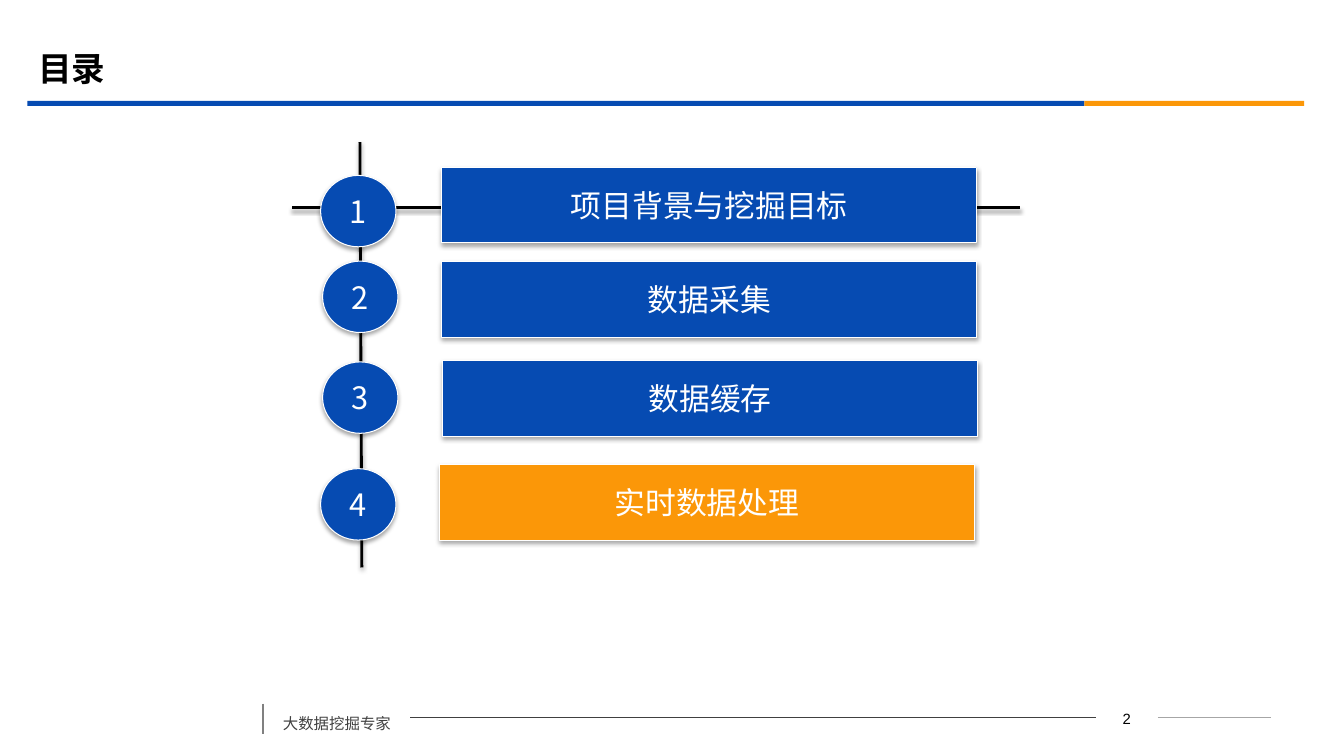
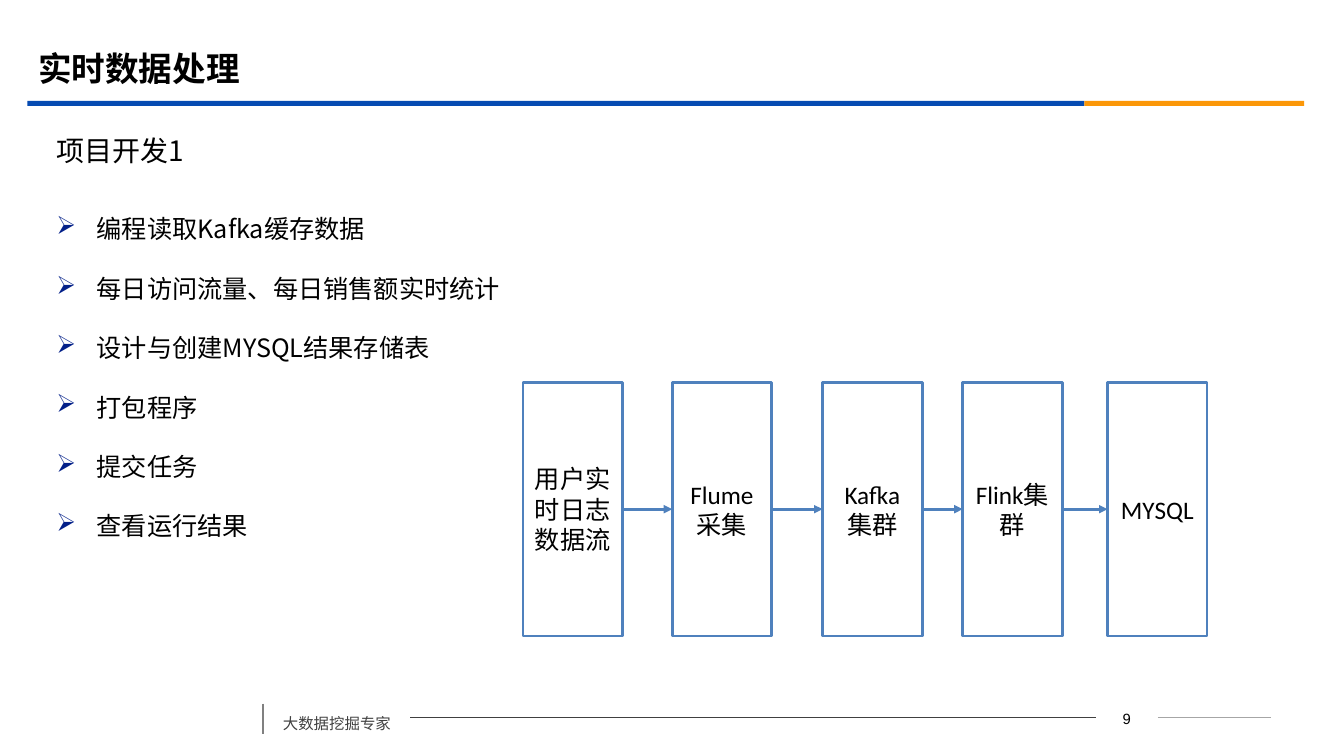
from dataclasses import dataclass
from itertools import pairwise

from lxml import etree
from pptx import Presentation
from pptx.dml.color import RGBColor
from pptx.enum.shapes import MSO_CONNECTOR, MSO_SHAPE
from pptx.enum.text import MSO_ANCHOR, PP_ALIGN
from pptx.oxml.ns import qn
from pptx.util import Cm, Pt

RECT, OVAL, BUTTON = MSO_SHAPE.RECTANGLE, MSO_SHAPE.OVAL, MSO_SHAPE.ACTION_BUTTON_CUSTOM
STRAIGHT = MSO_CONNECTOR.STRAIGHT
TOP, MIDDLE = MSO_ANCHOR.TOP, MSO_ANCHOR.MIDDLE
LEFT, CENTER = PP_ALIGN.LEFT, PP_ALIGN.CENTER

BLUE, ORANGE, WHITE, BLACK = "064BB2", "FB9708", "FFFFFF", "000000"
FLOW_BLUE, BULLET_BLUE = "4F81BD", "032089"
DARK_GREY, MID_GREY, LIGHT_GREY = "404040", "808080", "A6A6A6"
CJK = "Noto Sans CJK SC"


@dataclass(frozen=True)
class Box:
    """Position and size in centimetres."""
    left: float
    top: float
    width: float
    height: float

    def emu(self) -> tuple:
        return Cm(self.left), Cm(self.top), Cm(self.width), Cm(self.height)


@dataclass(frozen=True)
class TextStyle:
    size: float
    color: str = BLACK
    font: str = CJK
    bold: bool = False
    align: PP_ALIGN = LEFT
    anchor: MSO_ANCHOR = TOP
    wrap: bool = True


@dataclass(frozen=True)
class Rule:
    """A straight line, with ends in centimetres."""
    x1: float
    y1: float
    x2: float
    y2: float
    color: str
    width: float


@dataclass(frozen=True)
class AgendaItem:
    text: str
    circle: tuple[float, float]
    bar: tuple[float, float]
    color: str = BLUE


@dataclass(frozen=True)
class FlowStep:
    text: str
    left: float


TITLE = TextStyle(24, bold=True, anchor=MIDDLE)
SUBTITLE = TextStyle(20, anchor=MIDDLE)
BODY = TextStyle(18)
AGENDA = TextStyle(22, WHITE, align=CENTER, anchor=MIDDLE, wrap=False)
FLOW = TextStyle(18, font="Calibri", align=CENTER, anchor=MIDDLE)
FOOTER = TextStyle(11, DARK_GREY)
PAGE_NUMBER = TextStyle(10.6, font="Arial", align=CENTER)

BANDS = ((Box(0.69, 2.54, 26.64, 0.13), BLUE), (Box(27.33, 2.54, 5.54, 0.13), ORANGE))
FOOTER_RULES = (
    Rule(29.18, 18.08, 32.03, 18.08, LIGHT_GREY, 0.75),
    Rule(10.34, 18.08, 27.61, 18.08, DARK_GREY, 0.75),
    Rule(6.63, 17.73, 6.63, 18.49, MID_GREY, 1.25),
)
AGENDA_RULES = (
    Rule(9.07, 3.58, 9.12, 14.3, BLACK, 2),
    Rule(7.37, 5.23, 25.7, 5.23, BLACK, 2),
)
AGENDA_ITEMS = (
    AgendaItem("项目背景与挖掘目标", (8.08, 4.42), (11.13, 4.22)),
    AgendaItem("数据采集", (8.13, 6.58), (11.13, 6.6)),
    AgendaItem("数据缓存", (8.13, 9.12), (11.15, 9.09)),
    AgendaItem("实时数据处理", (8.08, 11.81), (11.07, 11.71), ORANGE),
)
TASKS = (
    "编程读取Kafka缓存数据",
    "每日访问流量、每日销售额实时统计",
    "设计与创建MYSQL结果存储表",
    "打包程序",
    "提交任务",
    "查看运行结果",
)
FLOW_STEPS = (
    FlowStep("用户实时日志数据流", 13.18),
    FlowStep("Flume采集", 16.94),
    FlowStep("Kafka集群", 20.73),
    FlowStep("Flink集群", 24.26),
    FlowStep("MYSQL", 27.91),
)


def rgb(color: str) -> RGBColor:
    return RGBColor.from_string(color)


def assign(target, **values) -> None:
    for name, value in values.items():
        setattr(target, name, value)


def write(p, text: str, style: TextStyle) -> None:
    p.alignment = style.align
    r = p.add_run()
    r.text = text
    assign(r.font, name=style.font, size=Pt(style.size), bold=style.bold)
    r.font.color.rgb = rgb(style.color)
    etree.SubElement(r._r.get_or_add_rPr(), qn("a:ea"), typeface=style.font)


def fill_frame(sp, text: str, style: TextStyle) -> None:
    assign(sp.text_frame, word_wrap=style.wrap, vertical_anchor=style.anchor)
    write(sp.text_frame.paragraphs[0], text, style)


def add_text(slide, box: Box, text: str, style: TextStyle):
    sp = slide.shapes.add_textbox(*box.emu())
    fill_frame(sp, text, style)
    return sp


def add_shadow(effects, alpha: int, distance: float) -> None:
    """Put a soft downward shadow into an effect list."""
    shadow = etree.SubElement(effects, qn("a:outerShdw"), blurRad=str(Pt(3.1)),
                              dist=str(Pt(distance)), dir="5400000", rotWithShape="0")
    color = etree.SubElement(shadow, qn("a:srgbClr"), val=BLACK)
    etree.SubElement(color, qn("a:alpha"), val=str(alpha * 1000))


def add_box(slide, kind, box: Box, fill: str, line: str | None = None,
            width: float = 0.75, shadow: bool = False):
    sp = slide.shapes.add_shape(kind, *box.emu())
    sp.fill.solid()
    sp.fill.fore_color.rgb = rgb(fill)
    if line:
        sp.line.color.rgb = rgb(line)
        sp.line.width = Pt(width)
    else:
        sp.line.fill.background()
    sp.shadow.inherit = False
    if shadow:
        add_shadow(sp._element.spPr.find(qn("a:effectLst")), 35, 1.8)
    return sp


def add_rule(slide, rule: Rule, shadow: bool = False):
    ends = (Cm(v) for v in (rule.x1, rule.y1, rule.x2, rule.y2))
    line = slide.shapes.add_connector(STRAIGHT, *ends)
    line.line.color.rgb = rgb(rule.color)
    line.line.width = Pt(rule.width)
    effects = etree.SubElement(line._element.spPr, qn("a:effectLst"))
    if shadow:
        add_shadow(effects, 38, 1.6)
    return line


def add_arrow(slide, source, target) -> None:
    """Join the right side of one box to the left side of the next."""
    arrow = add_rule(slide, Rule(0, 0, 1, 1, FLOW_BLUE, 2))
    arrow.begin_connect(source, 3)
    arrow.end_connect(target, 1)
    etree.SubElement(arrow.line._get_or_add_ln(), qn("a:tailEnd"), type="triangle")


def add_bullets(slide, box: Box, items: tuple[str, ...], style: TextStyle) -> None:
    tf = slide.shapes.add_textbox(*box.emu()).text_frame
    tf.word_wrap = True
    for i, item in enumerate(items):
        p = tf.add_paragraph() if i else tf.paragraphs[0]
        pPr = p._p.get_or_add_pPr()
        pPr.set("marL", str(Cm(1.02)))
        pPr.set("indent", str(-Cm(1.02)))
        color = etree.SubElement(pPr, qn("a:buClr"))
        etree.SubElement(color, qn("a:srgbClr"), val=BULLET_BLUE)
        etree.SubElement(pPr, qn("a:buChar"), char="➢")
        assign(p, line_spacing=Pt(32.4), space_before=Pt(10 if i else 0))
        write(p, item, style)


def new_slide(prs, title: str, number: int):
    """Add a slide with the shared title, bands and footer."""
    slide = prs.slides.add_slide(prs.slide_layouts[6])
    for box, color in BANDS:
        add_box(slide, RECT, box, color)
    for rule in FOOTER_RULES:
        add_rule(slide, rule)
    footer = add_text(slide, Box(6.88, 17.63, 3.45, 0.97), "大数据挖掘专家", FOOTER)
    footer.text_frame.paragraphs[0].line_spacing = Pt(20)
    add_text(slide, Box(27.61, 17.75, 1.57, 0.64), str(number), PAGE_NUMBER)
    add_text(slide, Box(0.71, 0.99, 30.48, 1.47), title, TITLE)
    return slide


def build_agenda(prs) -> None:
    slide = new_slide(prs, "目录", 2)
    for rule in AGENDA_RULES:
        add_rule(slide, rule, shadow=True)
    for number, item in enumerate(AGENDA_ITEMS, 1):
        bar = add_box(slide, BUTTON, Box(*item.bar, 13.49, 1.9), item.color, WHITE, shadow=True)
        fill_frame(bar, item.text, AGENDA)
        circle = add_box(slide, OVAL, Box(*item.circle, 1.9, 1.8), BLUE, WHITE, shadow=True)
        fill_frame(circle, str(number), AGENDA)


def build_processing(prs) -> None:
    slide = new_slide(prs, "实时数据处理", 9)
    add_text(slide, Box(1.17, 3.18, 30.86, 1.19), "项目开发1", SUBTITLE)
    add_bullets(slide, Box(1.17, 4.88, 30.86, 12.14), TASKS, BODY)
    boxes = []
    for step in FLOW_STEPS:
        sp = add_box(slide, RECT, Box(step.left, 9.63, 2.51, 6.4), WHITE, FLOW_BLUE, 2)
        fill_frame(sp, step.text, FLOW)
        boxes.append(sp)
    for source, target in pairwise(boxes):
        add_arrow(slide, source, target)


def main() -> None:
    prs = Presentation()
    assign(prs, slide_width=Cm(33.87), slide_height=Cm(19.05))
    build_agenda(prs)
    build_processing(prs)
    prs.save("out.pptx")


if __name__ == "__main__":
    main()
